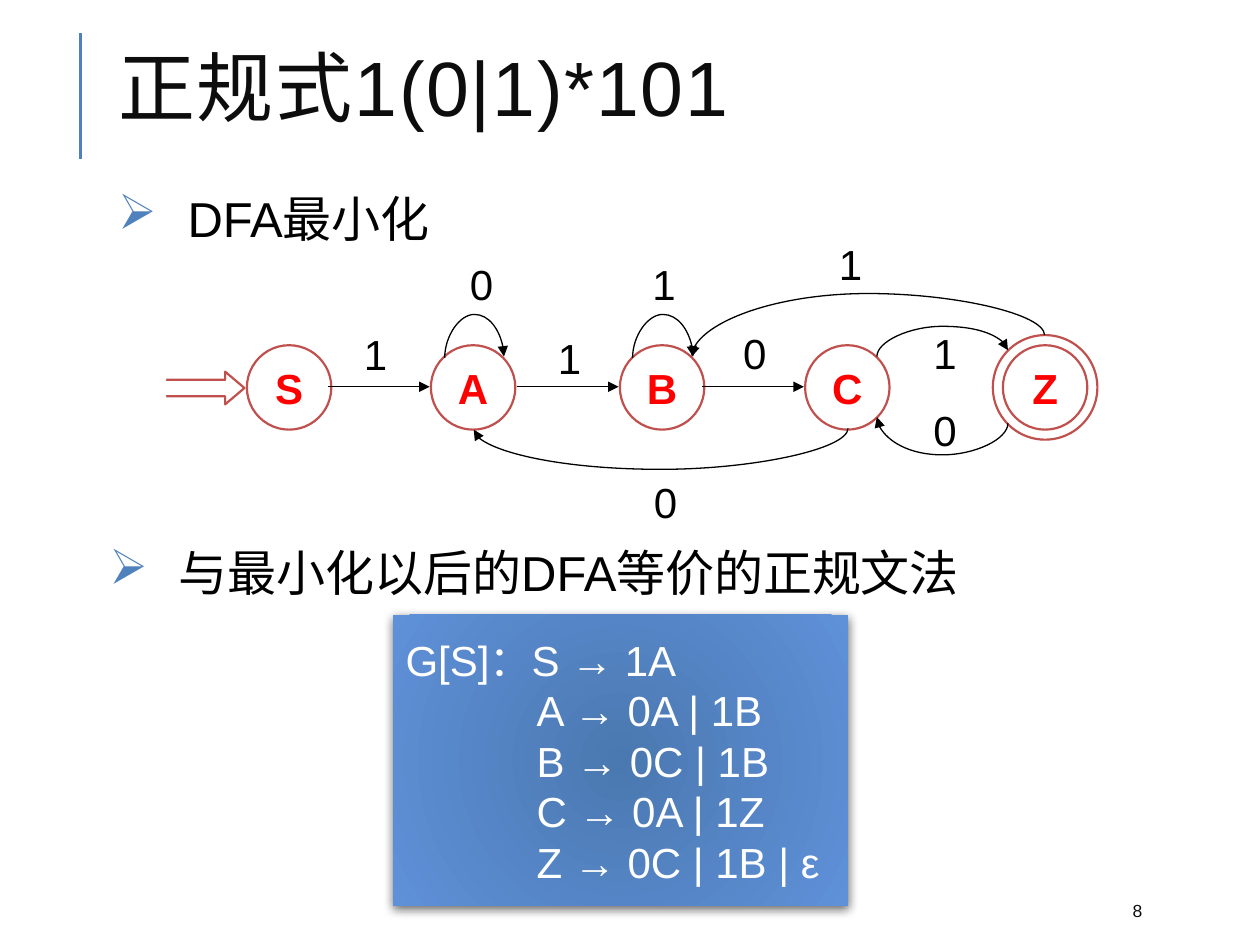
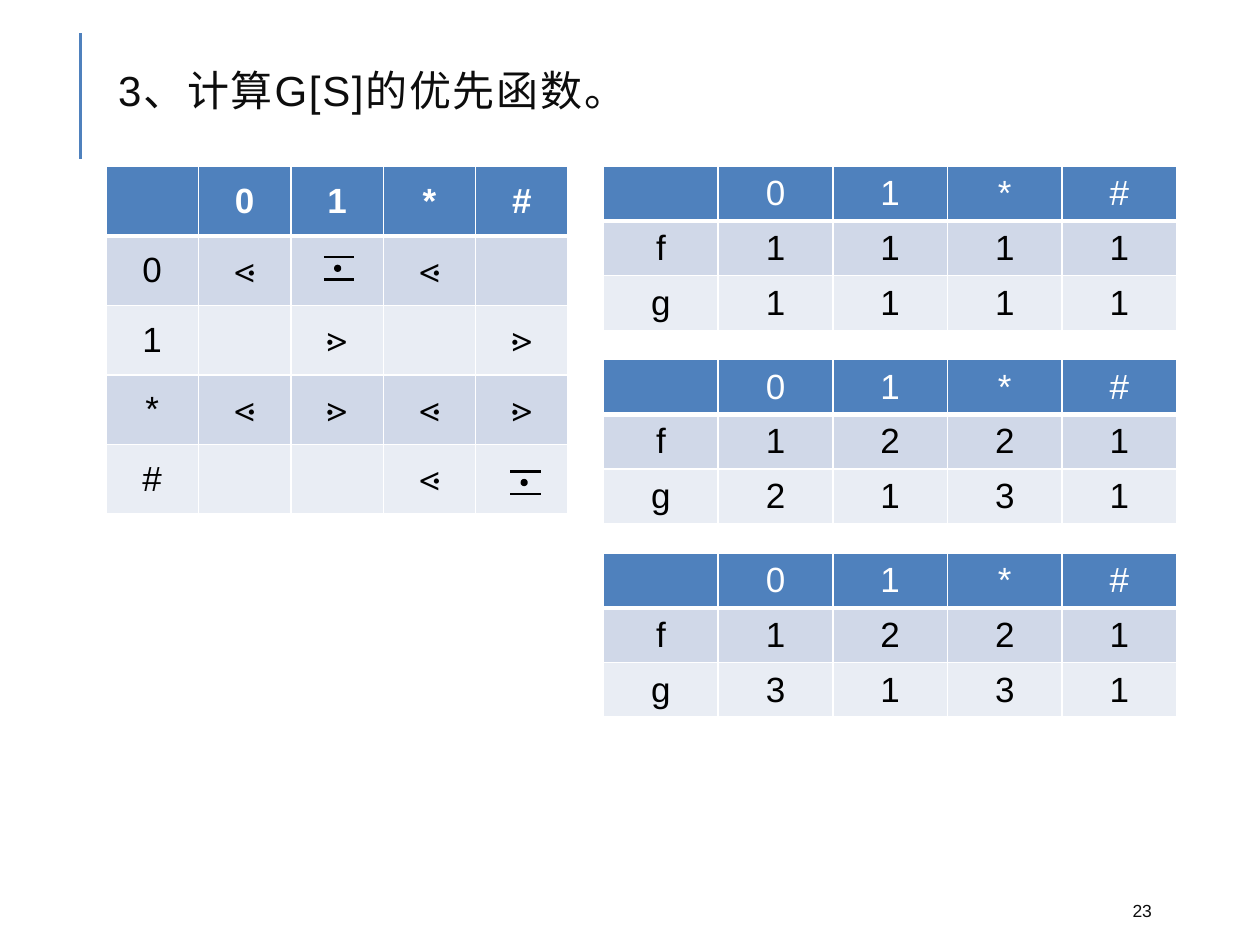
import pptx
import pptx.dml.color
import pptx.enum.shapes
import pptx.enum.text
import pptx.oxml
import pptx.oxml.ns
import pptx.util


class Theme:
    accent = pptx.dml.color.RGBColor.from_string("4F81BD")
    state = pptx.dml.color.RGBColor.from_string("C0504D")
    label = pptx.dml.color.RGBColor.from_string("FF0000")
    ink = pptx.dml.color.RGBColor.from_string("0D0D0D")
    black = pptx.dml.color.RGBColor.from_string("000000")
    white = pptx.dml.color.RGBColor.from_string("FFFFFF")
    bands = [pptx.dml.color.RGBColor.from_string(c) for c in ("E9EDF4", "D0D8E8")]
    glow = [pptx.dml.color.RGBColor.from_string(c) for c in ("4A78B0", "5F91D9")]
    font, math_font = "Arial", "Cambria"
    title, heading, body, cell, small = (pptx.util.Pt(n) for n in (44, 28, 24, 20, 10))
    outline = pptx.util.Pt(1.25)


NS = pptx.oxml.ns.nsdecls("a")
qn = pptx.oxml.ns.qn
SHAPE = pptx.enum.shapes.MSO_SHAPE
CONNECTOR = pptx.enum.shapes.MSO_CONNECTOR
CENTER = pptx.enum.text.PP_ALIGN.CENTER
MIDDLE = pptx.enum.text.MSO_ANCHOR.MIDDLE

prs = pptx.Presentation()
prs.slide_width, prs.slide_height = pptx.util.Inches(10), pptx.util.Inches(7.5)
UNIT = prs.slide_width // 100  # the grid has 100 columns and 75 rows


def grid(*cells):
    return [pptx.util.Emu(round(n * UNIT)) for n in cells]


def write(tf, lines, font, para=None, frame=None):
    for name, value in {"word_wrap": True, **(frame or {})}.items():
        setattr(tf, name, value)
    for i, line in enumerate(lines):
        p = tf.paragraphs[0] if i == 0 else tf.add_paragraph()
        for name, value in (para or {}).items():
            setattr(p, name, value)
        r = p.add_run()
        r.text = line
        color = font.get("color", Theme.black)
        r.font.color.rgb = color
        for name, value in {"name": Theme.font, **font}.items():
            if name != "color":
                setattr(r.font, name, value)


# Both slides: title and page number
connectors = []  # slide, x1, y1, x2, y2, bend row, colour, width, arrow
slides = []
for title, size, number in (
    ("正规式1(0|1)*101", Theme.title, "8"),
    ("3、计算G[S]的优先函数。", Theme.body, "23"),
):
    s = prs.slides.add_slide(prs.slide_layouts[6])
    slides.append(s)
    connectors.append((s, 6.4, 12.6, 6.4, 2.6, None, Theme.accent, 1.5, False))
    tb = s.shapes.add_textbox(*grid(8.4, 2.6, 85, 9.8))
    write(tb.text_frame, [title], {"size": size, "color": Theme.ink},
          {"line_spacing": 0.8}, {"vertical_anchor": MIDDLE})
    tb.text_frame.paragraphs[0].runs[0].font._element.set("spc", "100")
    tb = s.shapes.add_textbox(*grid(88.9, 70.8, 8, 3))
    write(tb.text_frame, [number], {"size": Theme.small, "color": Theme.ink},
          frame={"vertical_anchor": MIDDLE})
dfa, precedence = slides

# Bulleted headings
for x, y, text in ((8.4, 14.5, "DFA最小化"), (7.7, 42.6, "与最小化以后的DFA等价的正规文法")):
    tb = dfa.shapes.add_textbox(*grid(x, y, 85, 7.9))
    write(tb.text_frame, [text], {"size": Theme.heading}, {"space_after": pptx.util.Pt(6)})
    pPr = tb.text_frame.paragraphs[0]._p.get_or_add_pPr()
    hang = grid(5.5)[0]
    pPr.set("marL", str(hang))
    pPr.set("indent", str(-hang))
    pPr.append(pptx.oxml.parse_xml(
        f'<a:buClr {NS}><a:srgbClr val="{Theme.accent}"/></a:buClr>'))
    pPr.append(pptx.oxml.parse_xml(f'<a:buChar {NS} char="➢"/>'))

# Start arrow with an open tail, then the states
R = 3.35
MID = 30.75
outlines = [
    (SHAPE.RIGHT_ARROW, (11.9, 29.5, 7.5, 2.6), "", True),
    (SHAPE.RECTANGLE, (11.6, 29.6, 1.6, 2.1), "", False),
    (SHAPE.OVAL, (78.8, 26.6, 8.3, 8.3), "", True),
]
for name, x in zip("SABCZ", (22.95, 37.55, 52.55, 67.25, 82.95)):
    outlines.append((SHAPE.OVAL, (x - R, MID - R, 2 * R, 2 * R), name, True))
for kind, box, name, outlined in outlines:
    sp = dfa.shapes.add_shape(kind, *grid(*box))
    sp.shadow.inherit = False
    sp.fill.solid()
    sp.fill.fore_color.rgb = Theme.white
    if outlined:
        sp.line.color.rgb = Theme.state
        sp.line.width = Theme.outline
    else:
        sp.line.fill.background()
    if kind == SHAPE.RIGHT_ARROW:
        sp.adjustments[1] = 0.59
    if name:
        write(sp.text_frame, [name],
              {"size": Theme.body, "bold": True, "color": Theme.label},
              {"alignment": CENTER}, {"vertical_anchor": MIDDLE, "word_wrap": False})

# Transitions: straight ones have no bend row
for edge in (
    (26, 30.7, 34.1, 30.7, None), (41, 30.7, 49.1, 30.7, None),
    (55.7, 30.7, 63.8, 30.7, None),
    (35.3, 28.4, 40, 28.3, 24.9), (50.2, 28.4, 55, 28.3, 24.9),
    (67.3, 34, 37.6, 34.1, 37.3), (69.6, 28.3, 80, 27.8, 25.9),
    (80, 33.6, 69.6, 33.1, 36.1), (82.9, 26.6, 54.9, 28.3, 23.3),
):
    connectors.append((dfa, *edge, Theme.black, 0.75, True))
for x, y, symbol in (
    (29.65, 25.6, "1"), (45.05, 25.9, "1"), (59.75, 25.5, "0"),
    (38.05, 20, "0"), (52.55, 20, "1"), (67.35, 18.4, "1"),
    (74.85, 25.5, "1"), (74.85, 31.6, "0"), (52.65, 37.3, "0"),
):
    tb = dfa.shapes.add_textbox(*grid(x - 1.75, y, 3.5, 5))
    write(tb.text_frame, [symbol], {"size": Theme.body}, {"alignment": CENTER})

# Grammar panel
sp = dfa.shapes.add_shape(SHAPE.RECTANGLE, *grid(31.2, 48.8, 36.1, 23.1))
sp.line.fill.background()
sp.fill.gradient()
for stop, color in zip(sp.fill.gradient_stops, Theme.glow):
    stop.color.rgb = color
grad = sp._element.spPr.find(qn("a:gradFill"))
grad.remove(grad.find(qn("a:lin")))
grad.append(pptx.oxml.parse_xml(
    f'<a:path {NS} path="circle">'
    '<a:fillToRect l="100000" t="100000" r="100000" b="100000"/></a:path>'))
sp.shadow.inherit = False
sp._element.spPr.find(qn("a:effectLst")).append(pptx.oxml.parse_xml(
    f'<a:outerShdw {NS} blurRad="76200" dist="25400" dir="5400000" rotWithShape="0">'
    '<a:srgbClr val="000000"><a:alpha val="60000"/></a:srgbClr></a:outerShdw>'))
rules = ["G[S]：S → 1A", "A → 0A | 1B", "B → 0C | 1B", "C → 0A | 1Z", "Z → 0C | 1B | ε"]
write(sp.text_frame, rules, {"size": Theme.body, "color": Theme.white},
      {"alignment": pptx.enum.text.PP_ALIGN.LEFT}, {"vertical_anchor": MIDDLE})
for p in sp.text_frame.paragraphs[1:]:
    p._p.get_or_add_pPr().set("marL", str(grid(10.4)[0]))

# Precedence relation and the three rounds of f and g
HEADER = ["", "0", "1", "*", "#"]
tables = [(8.4, 13.2, 7.34, 5.52, True, [
    ["0", "⋖", "", "⋖", ""],
    ["1", "", "⋗", "", "⋗"],
    ["*", "⋖", "⋗", "⋖", "⋗"],
    ["#", "", "", "⋖", ""],
])]
for i, (f, g) in enumerate((("1111", "1111"), ("1221", "2131"), ("1221", "3131"))):
    tables.append((47.9, 13.2 + 15.35 * i, 9.1, 4.32, False, [["f", *f], ["g", *g]]))
for x, y, col_w, row_h, bold, body in tables:
    rows = [HEADER, *body]
    frame = precedence.shapes.add_table(
        len(rows), 5, *grid(x, y, 5 * col_w, len(rows) * row_h))
    for i, row in enumerate(rows):
        for j, text in enumerate(row):
            cell = frame.table.cell(i, j)
            cell.vertical_anchor = MIDDLE
            cell.fill.solid()
            cell.fill.fore_color.rgb = Theme.bands[i % 2] if i else Theme.accent
            tcPr = cell._tc.get_or_add_tcPr()
            for k, side in enumerate("LRTB"):
                heavy = (i, side) in ((0, "B"), (1, "T"))
                tcPr.insert(k, pptx.oxml.parse_xml(
                    f'<a:ln{side} {NS} w="{38100 if heavy else 12700}"><a:solidFill>'
                    f'<a:srgbClr val="{Theme.white}"/></a:solidFill></a:ln{side}>'))
            if text:
                write(cell.text_frame, [text], {
                    "size": Theme.cell,
                    "bold": bold and i == 0,
                    "color": Theme.black if i else Theme.white,
                    "name": Theme.math_font if text in "⋖⋗" else Theme.font,
                }, {"alignment": CENTER})

# Equal-precedence signs: a dot between two bars
for x, y in ((25.7, 20.4), (40.5, 37.4)):
    for bar in (y, y + 1.8):
        connectors.append((precedence, x, bar, x + 2.4, bar, None, Theme.black, 1.5, False))
    sp = precedence.shapes.add_shape(SHAPE.OVAL, *grid(x + 0.9, y + 0.7, 0.4, 0.4))
    sp.shadow.inherit = False
    sp.fill.solid()
    sp.fill.fore_color.rgb = sp.line.color.rgb = Theme.black
    sp.line.width = Theme.outline

# All lines and arrows; a curve is laid out sideways and turned by 90 degrees
for s, x1, y1, x2, y2, bend, color, width, arrow in connectors:
    if bend is None:
        c = s.shapes.add_connector(CONNECTOR.STRAIGHT, *grid(x1, y1, x2, y2))
    else:
        cx, cy, dx, dy = (x1 + x2) / 2, (y1 + y2) / 2, (x2 - x1) / 2, (y2 - y1) / 2
        c = s.shapes.add_connector(
            CONNECTOR.CURVE, *grid(cx - dy, cy + dx, cx + dy, cy - dx))
        spPr = c._element.spPr
        spPr.find(qn("a:xfrm")).set("rot", "5400000")
        share = round((bend - y1) / (y2 - y1) * 100000)
        geom = spPr.find(qn("a:prstGeom"))
        geom.find(qn("a:avLst")).append(pptx.oxml.parse_xml(
            f'<a:gd {NS} name="adj1" fmla="val {share}"/>'))
    c.line.color.rgb = color
    c.line.width = pptx.util.Pt(width)
    if arrow:
        c.line._get_or_add_ln().append(
            pptx.oxml.parse_xml(f'<a:tailEnd {NS} type="triangle"/>'))
    c._element.spPr.append(pptx.oxml.parse_xml(f"<a:effectLst {NS}/>"))

prs.save("out.pptx")
